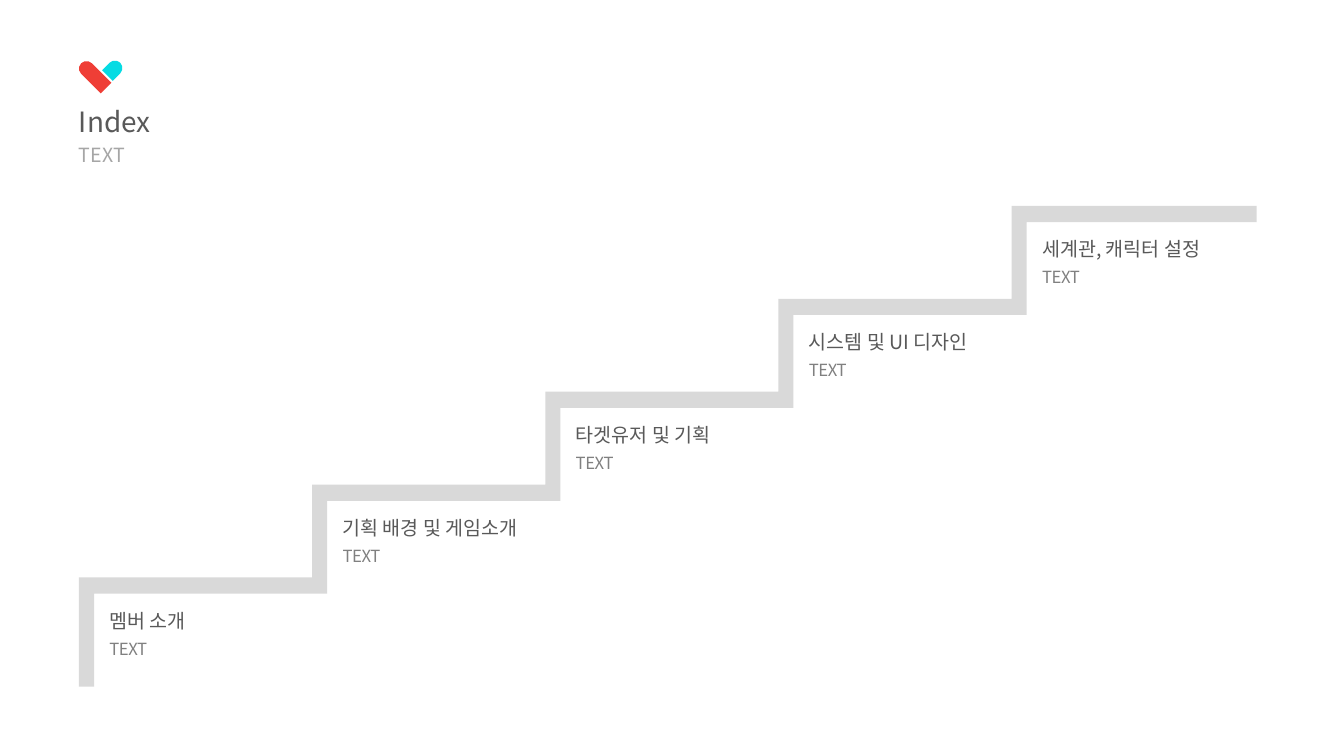
from dataclasses import dataclass

from lxml.etree import SubElement
from pptx import Presentation
from pptx.dml.color import RGBColor
from pptx.enum.shapes import MSO_SHAPE
from pptx.enum.text import MSO_ANCHOR, MSO_AUTO_SIZE
from pptx.oxml.ns import qn
from pptx.util import Cm, Pt


@dataclass(frozen=True)
class Theme:
    """Colours, type sizes and font of the deck."""
    font: str = "Noto Sans CJK KR"
    title: str = "595959"
    subtitle: str = "A6A6A6"
    caption: str = "808080"
    stairs: str = "D9D9D9"
    red: str = "EF3E36"
    cyan: str = "05DBE3"
    title_size: int = 20
    label_size: int = 14
    caption_size: int = 12


@dataclass(frozen=True)
class Box:
    """A region of the page in centimetres."""
    left: float
    top: float
    width: float
    height: float


THEME = Theme()
STEPS = [
    "멤버 소개",
    "기획 배경 및 게임소개",
    "타겟유저 및 기획",
    "시스템 및 UI 디자인",
    "세계관, 캐릭터 설정",
]


def paint(shape, color):
    """Give a shape a flat fill with no line or shadow."""
    shape.shadow.inherit = False
    shape.fill.solid()
    shape.fill.fore_color.rgb = RGBColor.from_string(color)
    shape.line.fill.background()


def add_text(page, box, words, size, color, line_spacing=1.0, tracking=0):
    """Place one line of text without margins."""
    frame = page.shapes.add_textbox(
        Cm(box.left), Cm(box.top), Cm(box.width), Cm(box.height)).text_frame
    frame.margin_left = frame.margin_right = 0
    frame.margin_top = frame.margin_bottom = 0
    frame.word_wrap = True
    frame.auto_size = MSO_AUTO_SIZE.SHAPE_TO_FIT_TEXT
    frame.vertical_anchor = MSO_ANCHOR.MIDDLE
    para = frame.paragraphs[0]
    para.line_spacing = line_spacing
    span = para.add_run()
    span.text = words
    span.font.size = Pt(size)
    span.font.color.rgb = RGBColor.from_string(color)
    span.font.name = THEME.font
    properties = span.font._element
    SubElement(properties, qn("a:ea")).set("typeface", THEME.font)
    if tracking:
        properties.set("spc", str(tracking))


def add_heart(page, box):
    """Draw the two-tone heart from two tilted rounded bars."""
    bars = [
        (0.18, 0, 0.38, 0.89, 315, THEME.red),
        (0.69, 0.05, 0.38, 0.46, 45, THEME.cyan),
    ]
    for left, top, width, height, angle, color in bars:
        bar = page.shapes.add_shape(
            MSO_SHAPE.ROUND_2_SAME_RECTANGLE, Cm(box.left + left),
            Cm(box.top + top), Cm(width), Cm(height))
        bar.adjustments[0] = 0.5
        bar.adjustments[1] = 0
        bar.rotation = angle
        paint(bar, color)


def add_heading(page, box):
    """Place the heart, title and subtitle."""
    add_heart(page, box)
    add_text(page, Box(box.left, box.top + 1.27, box.width, 0.76),
             "Index", THEME.title_size, THEME.title, 0.9)
    add_text(page, Box(box.left, box.top + 2.18, box.width, 0.61),
             "TEXT", THEME.label_size, THEME.subtitle, 0.9)


def add_staircase(page, box, labels):
    """Draw a rising staircase with a label under each tread."""
    run, post, beam = 5.9, 0.38, 0.41
    bottom = box.top + box.height
    rise = (box.height - beam) / len(labels)
    corners = [(box.left + index * run, bottom - beam - (index + 1) * rise)
               for index in range(len(labels))]

    right = box.left + box.width
    upper = [(box.left, bottom)]
    lower = []
    for left, tread in corners:
        upper += [(left, tread + rise), (left, tread)]
        lower += [(left + post, tread + rise + beam),
                  (left + post, tread + beam)]
    ends = [(right, corners[-1][1]), (right, corners[-1][1] + beam)]
    outline = [(Cm(x), Cm(y)) for x, y in upper + ends + lower[::-1]]
    builder = page.shapes.build_freeform(*outline[0])
    builder.add_line_segments(outline[1:], close=True)
    paint(builder.convert_to_shape(), THEME.stairs)

    for (left, tread), label in zip(corners, labels):
        add_text(page, Box(left + 0.77, tread + 0.78, 5.46, 0.61),
                 label, THEME.label_size, THEME.title)
        add_text(page, Box(left + 0.77, tread + 1.55, 5.46, 0.51),
                 "TEXT", THEME.caption_size, THEME.caption, tracking=-30)


def main():
    """Build and save the index page."""
    deck = Presentation()
    deck.slide_width, deck.slide_height = Cm(34.01), Cm(19)
    page = deck.slides.add_slide(deck.slide_layouts[6])
    add_heading(page, Box(2, 1.47, 30.02, 2.79))
    add_staircase(page, Box(2, 5.21, 29.8, 12.16), STEPS)
    deck.save("out.pptx")


if __name__ == "__main__":
    main()
